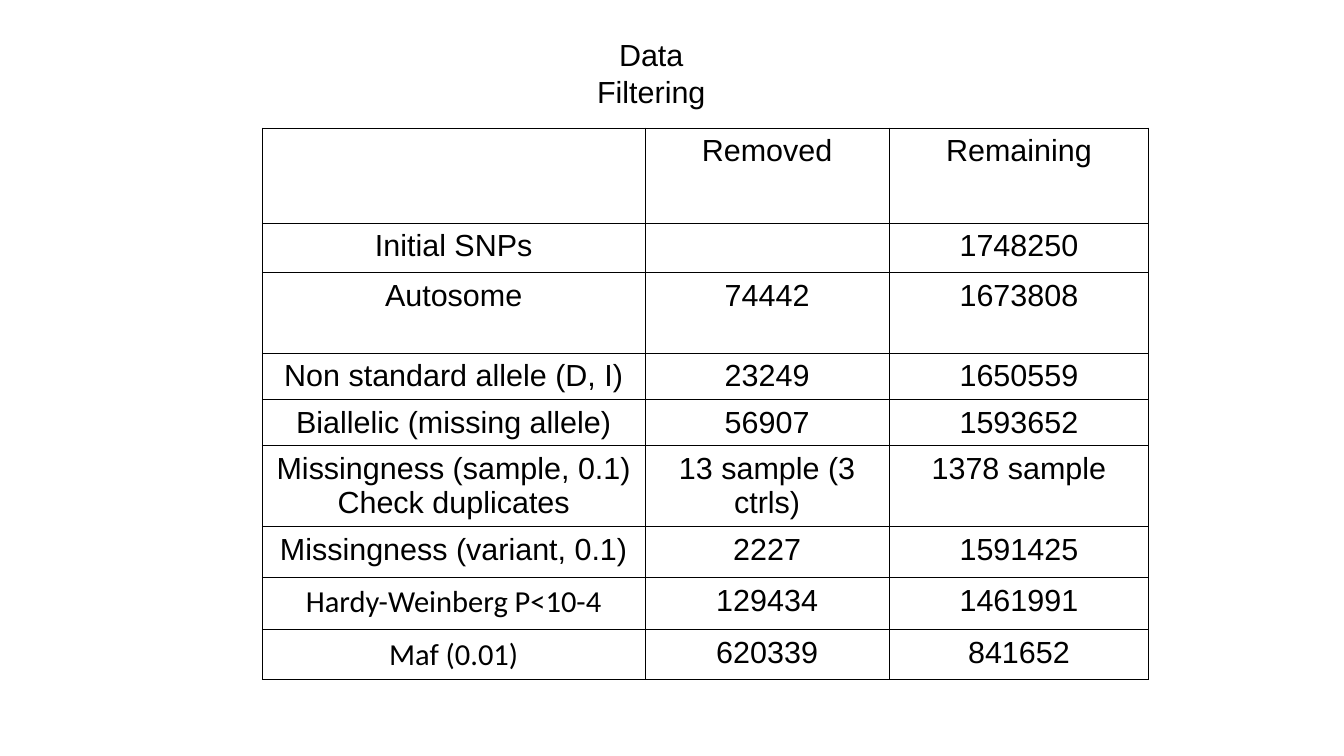
from dataclasses import dataclass

from lxml import etree
from pptx import Presentation, util as u
from pptx.dml import color
from pptx.enum import text
from pptx.oxml import ns


@dataclass(frozen=True)
class Theme:
    ink: str = "000000"
    paper: str = "FFFFFF"
    font: str = "Arial"
    alt: str = "Calibri"
    size: float = 18
    rule: float = 0.57


ROWS = [
    ("", "Removed", "Remaining"),
    ("Initial SNPs", "", "1748250"),
    ("Autosome", "74442", "1673808"),
    ("Non standard allele (D, I)", "23249", "1650559"),
    ("Biallelic (missing allele)", "56907", "1593652"),
    ("Missingness (sample, 0.1)\nCheck duplicates", "13 sample (3 ctrls)", "1378 sample"),
    ("Missingness (variant, 0.1)", "2227", "1591425"),
    ("Hardy-Weinberg P<10-4", "129434", "1461991"),
    ("Maf (0.01)", "620339", "841652"),
]
WIDTHS = [3.14, 2, 2.13]
HEIGHTS = [0.78, 0.4, 0.66, 0.38, 0.38, 0.66, 0.42, 0.43, 0.41]
ALT_CELLS = {(7, 0), (8, 0)}


class Page:
    def __init__(self, slide, theme):
        self.slide = slide
        self.theme = theme
        fill = slide.background.fill
        fill.solid()
        fill.fore_color.rgb = color.RGBColor.from_string(theme.paper)

    def label(self, frame, words, font):
        frame.text = words
        for para in frame.paragraphs:
            para.alignment = text.PP_ALIGN.CENTER
            para.font.size = u.Pt(self.theme.size)
            for run in para.runs:
                run.font.size = u.Pt(self.theme.size)
                run.font.name = font
                run.font.color.rgb = color.RGBColor.from_string(self.theme.ink)

    def title(self, words, left, top, width, height):
        box = self.slide.shapes.add_textbox(*map(u.Inches, (left, top, width, height)))
        self.label(box.text_frame, words, self.theme.font)
        box.text_frame.word_wrap = False
        box.text_frame.auto_size = text.MSO_AUTO_SIZE.SHAPE_TO_FIT_TEXT

    def border(self, cell):
        """Rule all four sides; must run before the cell fill is set."""
        props = cell._tc.get_or_add_tcPr()
        for side in ("lnL", "lnR", "lnT", "lnB"):
            line = etree.SubElement(props, ns.qn(f"a:{side}"), w=str(u.Pt(self.theme.rule)))
            fill = etree.SubElement(line, ns.qn("a:solidFill"))
            etree.SubElement(fill, ns.qn("a:srgbClr"), val=self.theme.ink)

    def table(self, rows, left, top, widths, heights, alt):
        """Draw a ruled grid; cells listed in alt take the second font."""
        size = (left, top, sum(widths), sum(heights))
        grid = self.slide.shapes.add_table(
            len(rows), len(widths), *map(u.Inches, size)).table
        grid.first_row = grid.horz_banding = False
        for col, width in zip(grid.columns, widths):
            col.width = u.Inches(width)
        for r, (row, height) in enumerate(zip(rows, heights)):
            grid.rows[r].height = u.Inches(height)
            for c, words in enumerate(row):
                cell = grid.cell(r, c)
                font = self.theme.alt if (r, c) in alt else self.theme.font
                self.label(cell.text_frame, words, font)
                self.border(cell)
                cell.fill.background()


def main():
    deck = Presentation()
    deck.slide_width = u.Inches(11.02)
    deck.slide_height = u.Inches(6.2)
    page = Page(deck.slides.add_slide(deck.slide_layouts[6]), Theme())
    page.table(ROWS, 2.15, 1.05, WIDTHS, HEIGHTS, ALT_CELLS)
    page.title("Data Filtering", 4.5, 0.25, 1.68, 0.38)
    deck.save("out.pptx")


if __name__ == "__main__":
    main()
